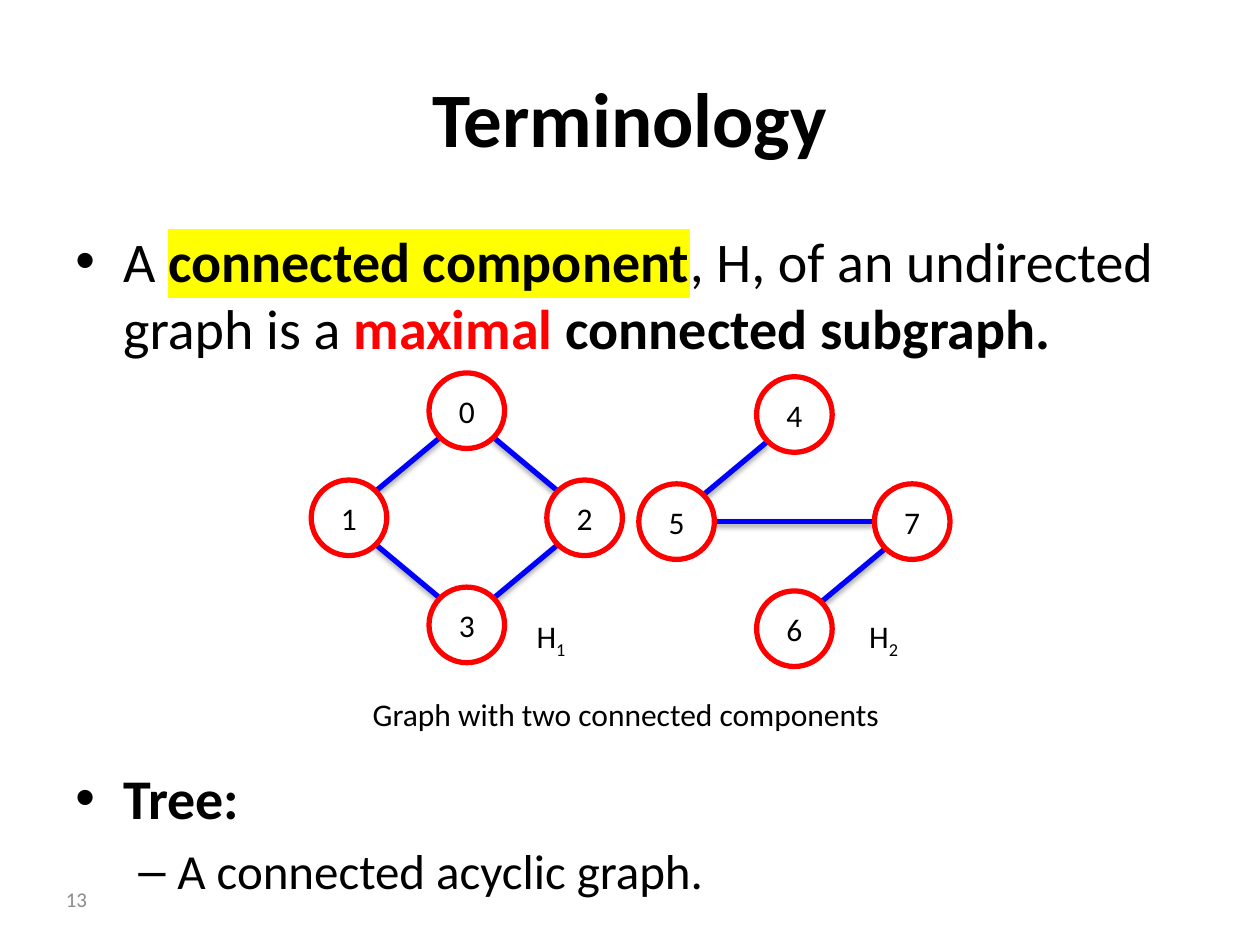
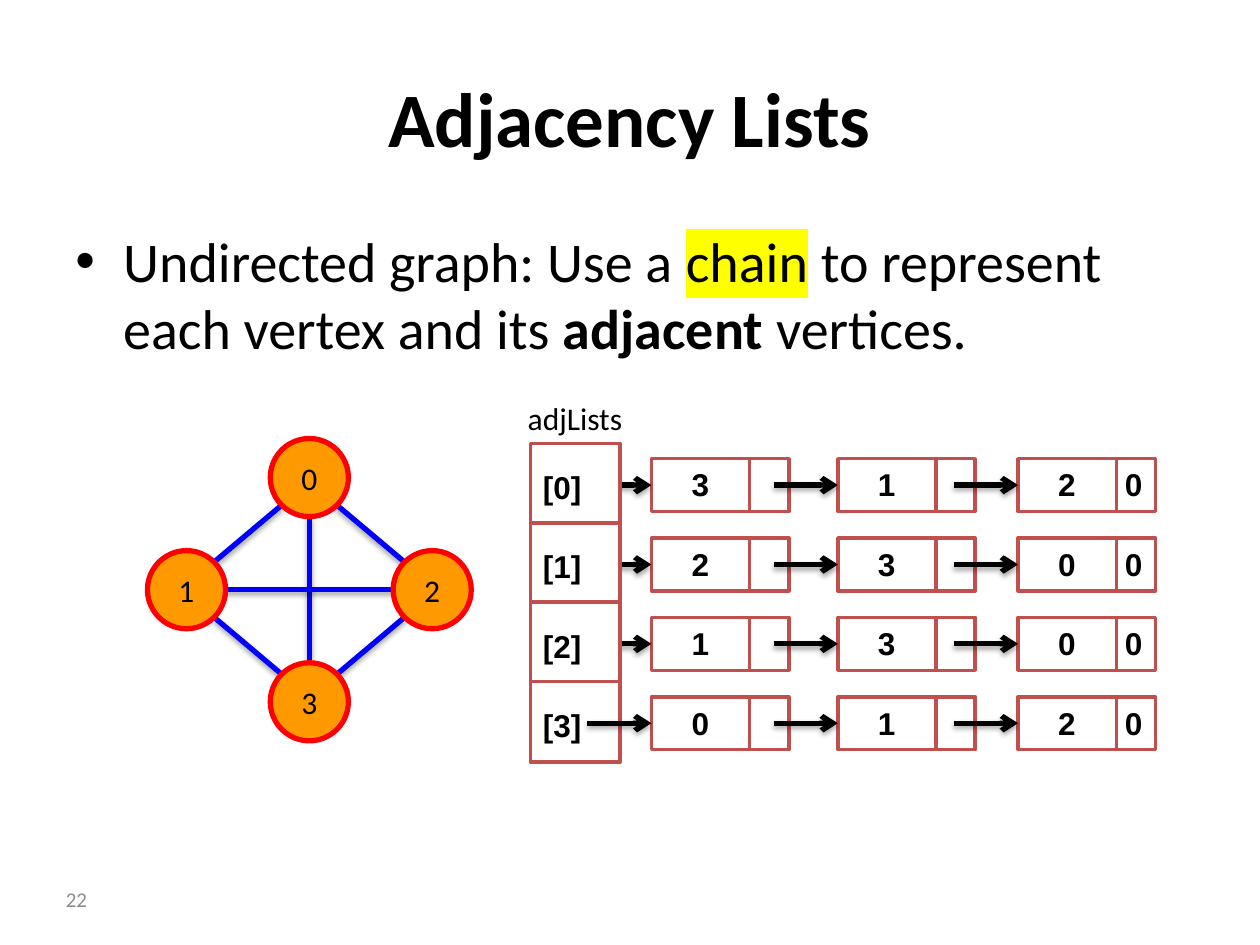
from collections import namedtuple
from dataclasses import dataclass
from math import hypot

from lxml.etree import SubElement as Sub
from pptx import Presentation
from pptx.dml.color import RGBColor as RGB
from pptx.enum.shapes import MSO_CONNECTOR as Conn, MSO_SHAPE as Shape
from pptx.enum.text import MSO_ANCHOR as Anchor, MSO_AUTO_SIZE as Auto, PP_ALIGN as Align
from pptx.oxml.ns import qn
from pptx.util import Emu, Inches, Pt


@dataclass(frozen=True)
class Theme:
    ink: str = "000000"
    paper: str = "FFFFFF"
    red: str = "FF0000"
    blue: str = "0000FF"
    brick: str = "C0504D"
    amber: str = "FF9900"
    mark: str = "FFFF00"
    grey: str = "8C8C8C"
    sans: str = "Calibri"
    mono: str = "Arial"
    title: int = 44
    body: int = 32
    sub: int = 28
    label: int = 18
    foot: int = 12
    thick: int = 3
    thin: int = 2


T = Theme()
COLS, ROWS = 100, 75
WIDTH, HEIGHT = Inches(10), Inches(7.5)


class Box(namedtuple("Box", "x y w h")):
    """An area in columns and rows of the slide grid."""

    def sub(self, x, y, w, h):
        return Box(self.x + x, self.y + y, w, h)

    def at(self, fx, fy):
        return self.x + fx * self.w, self.y + fy * self.h

    def emu(self):
        return (*point(self.x, self.y), *point(self.w, self.h))


PAGE = Box(0, 0, COLS, ROWS)


def point(x, y):
    return Emu(int(x * WIDTH / COLS)), Emu(int(y * HEIGHT / ROWS))


# Text
def style(run, size, color=T.ink, bold=False, face=T.sans, mark=None):
    font = run.font
    font.size, font.bold, font.name = Pt(size), bold, face
    font.color.rgb = RGB.from_string(color)
    if mark:
        fill = run._r.rPr.find(qn("a:solidFill"))
        glow = Sub(run._r.rPr, qn("a:highlight"))
        Sub(glow, qn("a:srgbClr"), val=mark)
        fill.addnext(glow)


def write(shape, text, size, align=Align.CENTER, **look):
    frame = shape.text_frame
    frame.text = text
    frame.vertical_anchor = Anchor.MIDDLE
    para = frame.paragraphs[0]
    para.alignment = align
    style(para.runs[0], size, **look)


def text_box(slide, box, wrap=True):
    shape = slide.shapes.add_textbox(*box.emu())
    shape.text_frame.word_wrap = wrap
    return shape


def label(slide, box, text, low="", face=T.sans, bold=False):
    shape = text_box(slide, box, wrap=False)
    frame = shape.text_frame
    frame.auto_size = Auto.SHAPE_TO_FIT_TEXT
    frame.text = text
    para = frame.paragraphs[0]
    if low:
        para.add_run().text = low
    for run in para.runs:
        style(run, T.label, face=face, bold=bold)
    if low:
        para.runs[1].font._element.set("baseline", "-25000")


def bullet(para, parts, level=0, gap=None):
    size, left, hang, sign = ((T.body, 0.38, 0.38, "•"),
                              (T.sub, 0.81, 0.31, "–"))[level]
    para.level = level
    para.space_before = Pt(gap or size * 0.2)
    for text, look in parts:
        run = para.add_run()
        run.text = text
        style(run, size, **look)
    prop = para._p.get_or_add_pPr()
    prop.set("marL", str(Inches(left)))
    prop.set("indent", str(-Inches(hang)))
    Sub(Sub(prop, qn("a:buClr")), qn("a:srgbClr"), val=T.ink)
    Sub(prop, qn("a:buFont"), typeface=T.mono)
    Sub(prop, qn("a:buChar"), char=sign)


# Shapes and lines
def solid(slide, kind, box, fill, line, width):
    shape = slide.shapes.add_shape(kind, *box.emu())
    shape.shadow.inherit = False
    shape.fill.solid()
    shape.fill.fore_color.rgb = RGB.from_string(fill)
    shape.line.color.rgb = RGB.from_string(line)
    shape.line.width = Pt(width)
    return shape


def link(slide, start, end, color, width=T.thick, head=False, shade=True):
    line = slide.shapes.add_connector(Conn.STRAIGHT, *point(*start), *point(*end))
    line.line.color.rgb = RGB.from_string(color)
    line.line.width = Pt(width)
    prop = line._element.spPr
    if head:
        Sub(prop.find(qn("a:ln")), qn("a:tailEnd"), type="arrow")
    glow = Sub(prop, qn("a:effectLst"))
    if shade:
        drop = Sub(glow, qn("a:outerShdw"), blurRad=str(Pt(3.1)), dist=str(Pt(1.8)),
                   dir="5400000", rotWithShape="0")
        tone = Sub(drop, qn("a:srgbClr"), val=T.ink)
        Sub(tone, qn("a:alpha"), val="35000")
    return line


# Title, body and page number shared by the slides
def base(deck, title, number, items, rows):
    slide = deck.slides.add_slide(deck.slide_layouts[6])
    write(text_box(slide, PAGE.sub(5, 3, 90, 12.5)), title, T.title, bold=True)
    frame = text_box(slide, PAGE.sub(5, 17.5, 90, rows)).text_frame
    for i, (parts, opts) in enumerate(items):
        para = frame.add_paragraph() if i else frame.paragraphs[0]
        bullet(para, parts, **opts)
    write(text_box(slide, PAGE.sub(2.9, 69.4, 5, 4)), number, T.foot, Align.RIGHT,
          color=T.grey)
    return slide


# Graph with its nodes on a diamond: top, left, right, bottom
SPOTS = (0.5, 0), (0, 0.5), (1, 0.5), (0.5, 1)


def graph(slide, box, names, edges, size, fill):
    rad = size / 2
    core = box.sub(rad, rad, box.w - size, box.h - size)
    mids = {name: core.at(*spot) for name, spot in zip(names, SPOTS)}
    places = dict(zip(names, SPOTS))

    def rim(name, other):
        (ax, ay), (bx, by) = places[name], places[other]
        dx, dy = (bx > ax) - (bx < ax), (by > ay) - (by < ay)
        step = rad / hypot(dx, dy)
        x, y = mids[name]
        return x + dx * step, y + dy * step

    for a, b in edges:
        link(slide, rim(a, b), rim(b, a), T.blue)
    for name, (x, y) in mids.items():
        node = solid(slide, Shape.OVAL, Box(x - rad, y - rad, size, size),
                     fill, T.red, T.thick)
        write(node, name, T.label)


# Adjacency lists: a column of slots, each followed by a chain of cells
STEP = 6.3
CELLS = 9.6, 24.4, 38.7


def chain(slide, box, values):
    cells = []
    for left, value in zip(CELLS, values):
        cell = box.sub(left, 0, 10.9, 4.2)
        cells.append(solid(slide, Shape.RECTANGLE, cell, T.paper, T.brick, T.thin))
        link(slide, (cell.x + 7.8, cell.y), (cell.x + 7.8, cell.y + cell.h),
             T.brick, T.thin, shade=False)
        label(slide, cell.sub(2.2, 0.05, 3.4, 4), value, face=T.mono, bold=True)
    label(slide, cell.sub(7.5, 0.05, 3.4, 4), "0", face=T.mono, bold=True)
    for left, cell in zip(CELLS, cells):
        x, y = box.x + left, box.y + 2.1
        arrow = link(slide, (x - 5.1, y), (x, y), T.ink, head=True)
        arrow.end_connect(cell, 1)


def slots(slide, box, count):
    for i in range(count):
        slot = box.sub(0, i * STEP, 7.1, 6.4)
        solid(slide, Shape.RECTANGLE, slot, T.paper, T.brick, T.thin)
        label(slide, slot.sub(0, 1.45, 5.1, 4), f"[{i}]", face=T.mono, bold=True)


def lists(slide, box, rows):
    label(slide, box.sub(-1.2, -4, 9.6, 4), "adjLists")
    lanes = [box.sub(0, 1.2 + i * STEP, box.w, STEP) for i in range(len(rows))]
    # The slots cover the tails of all arrows but the last
    for lane, values in zip(lanes[:-1], rows):
        chain(slide, lane, values)
    slots(slide, box, len(rows))
    chain(slide, lanes[-1], rows[-1])


# Slides
def terms(deck):
    bold = {"bold": True}
    items = [
        ([("A ", {}), ("connected component", {"bold": True, "mark": T.mark}),
          (", H, of an undirected graph is a ", {}),
          ("maximal", {"bold": True, "color": T.red}),
          (" connected subgraph.", bold)], {}),
        ([("Tree:", bold)], {"gap": 230}),
        ([("A connected acyclic graph.", {})], {"level": 1}),
    ]
    slide = base(deck, "Terminology", "13", items, 53.9)
    parts = (
        (24.7, 29.6, "0123", ("01", "13", "02", "23"), 41.6, "1"),
        (50.7, 29.9, "4576", ("45", "75", "76"), 68, "2"),
    )
    for x, y, names, edges, left, low in parts:
        graph(slide, PAGE.sub(x, y, 24.7, 23), names, edges, 6, T.paper)
        label(slide, PAGE.sub(left, 48.5, 4.5, 4), "H", low)
    label(slide, PAGE.sub(28.6, 54.7, 42.7, 4), "Graph with two connected components")


def adjacency(deck):
    items = [([("Undirected graph: Use a ", {}), ("chain", {"mark": T.mark}),
               (" to represent each vertex and its ", {}),
               ("adjacent", {"bold": True}), (" vertices.", {})], {})]
    slide = base(deck, "Adjacency Lists", "22", items, 49.5)
    graph(slide, PAGE.sub(11.7, 34.8, 25.7, 24), "0123",
          ("01", "13", "02", "23", "03", "12"), 6.2, T.amber)
    lists(slide, PAGE.sub(42.1, 35.2, 49.6, 25.2), ("312", "230", "130", "012"))


def main():
    deck = Presentation()
    deck.slide_width, deck.slide_height = WIDTH, HEIGHT
    terms(deck)
    adjacency(deck)
    deck.save("out.pptx")


if __name__ == "__main__":
    main()
